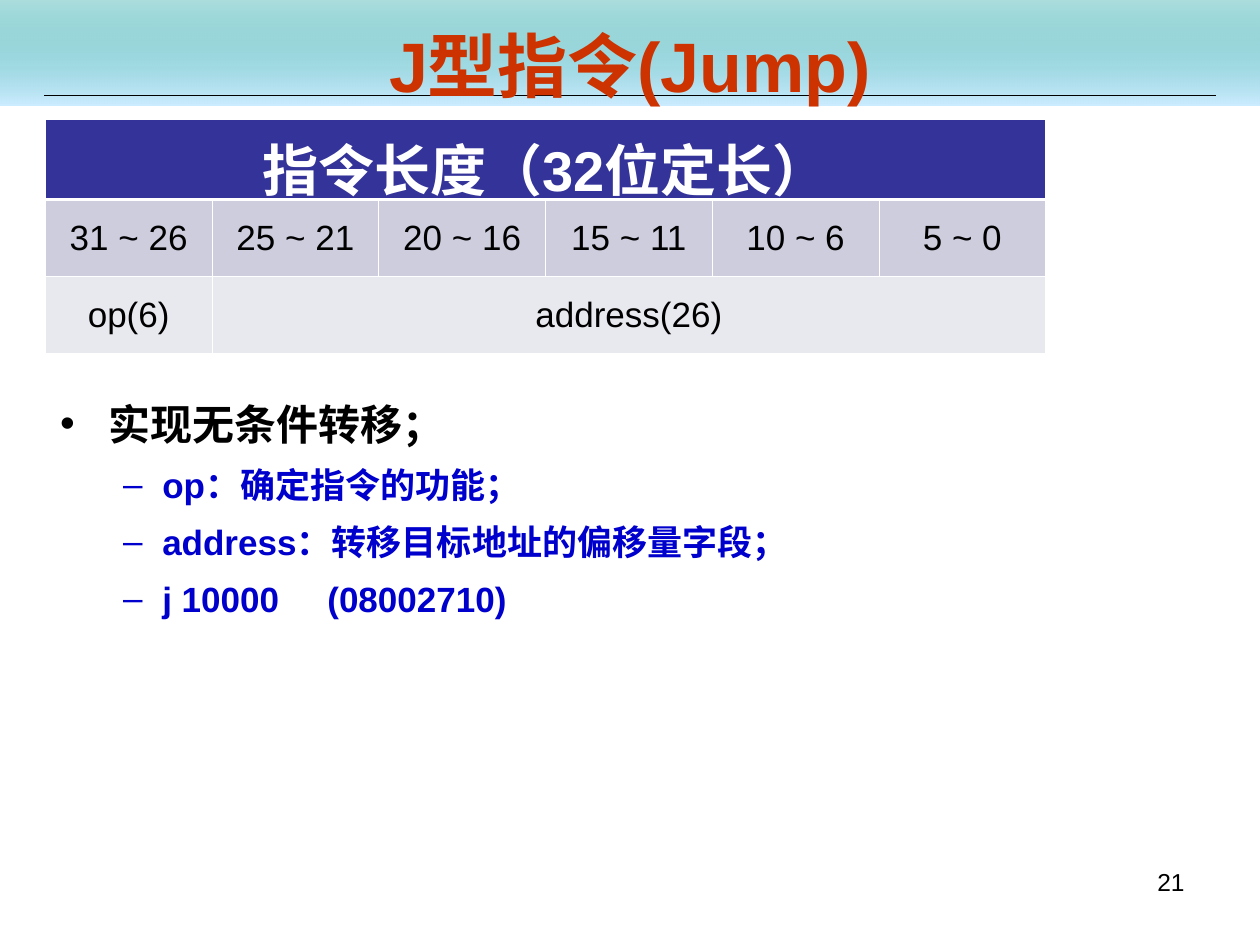
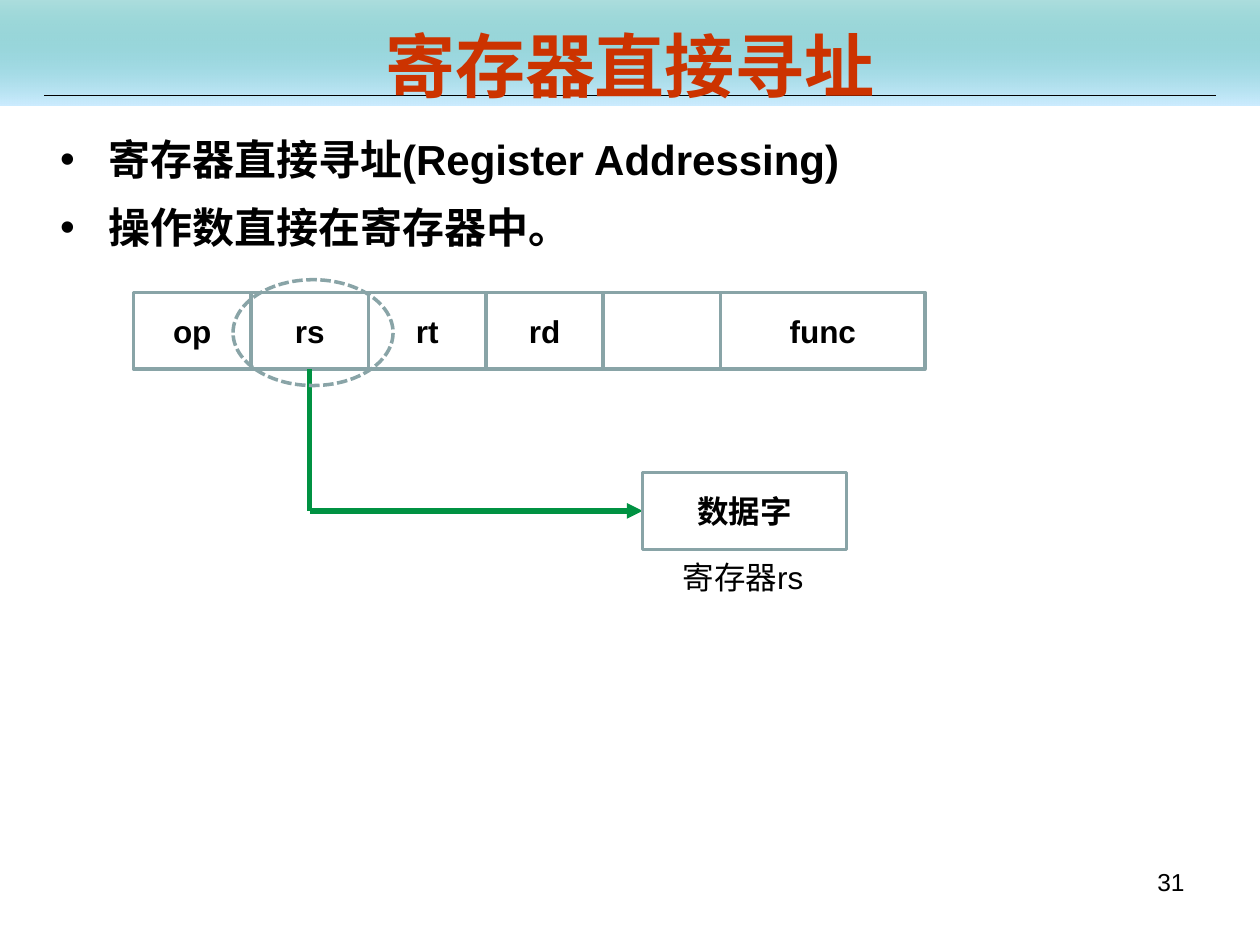
import dataclasses

import lxml.etree
import pptx
import pptx.dml.color
import pptx.enum.dml
import pptx.enum.lang
import pptx.enum.shapes
import pptx.enum.text
import pptx.oxml
import pptx.oxml.ns
import pptx.util

Inches = pptx.util.Inches
Pt = pptx.util.Pt
qn = pptx.oxml.ns.qn
Shape = pptx.enum.shapes.MSO_SHAPE
Align = pptx.enum.text.PP_ALIGN
Anchor = pptx.enum.text.MSO_ANCHOR


@dataclasses.dataclass(frozen=True)
class Theme:
    """Colours, type sizes and line widths shared by the deck."""
    font: str = "Arial"
    black: str = "000000"
    white: str = "FFFFFF"
    title: str = "CC3300"
    detail: str = "0000CC"
    band_top: str = "009999"
    band_bottom: str = "CCECFF"
    header: str = "333399"
    row_dark: str = "CDCDDE"
    row_light: str = "E8E8EF"
    outline: str = "89A4A7"
    arrow: str = "009242"
    title_size: int = 40
    header_size: int = 32
    point_size: int = 24
    detail_size: int = 20
    label_size: int = 18
    number_size: int = 14
    hairline: float = 0.75
    outline_width: float = 2
    arrow_width: float = 3


@dataclasses.dataclass(frozen=True)
class Box:
    """A rectangle in inches."""
    left: float
    top: float
    width: float
    height: float

    def inner(self, left, top, width, height):
        """Return a box placed relative to this one."""
        return Box(self.left + left, self.top + top, width, height)

    def lengths(self):
        """Return left, top, width and height as lengths."""
        return [Inches(value) for value in dataclasses.astuple(self)]


THEME = Theme()
PAGE = Box(0, 0, 10, 7.5)


def rgb(value):
    """Turn a hex string into a colour."""
    return pptx.dml.color.RGBColor.from_string(value)


def add_xml(parent, tag, **attributes):
    """Append a DrawingML element with the given attributes."""
    return lxml.etree.SubElement(parent, qn(tag), attributes)


def style_para(para, size, colour, bold=False, align=Align.CENTER):
    """Format a paragraph and its runs."""
    para.alignment = align
    for span in para.runs:
        span.font.name = THEME.font
        span.font.size = Pt(size)
        span.font.bold = bold
        span.font.color.rgb = rgb(colour)
        span.font.language_id = pptx.enum.lang.MSO_LANGUAGE_ID.SIMPLIFIED_CHINESE


def add_text(page, box, text, size, colour, bold=False, align=Align.CENTER,
             anchor=Anchor.TOP, wrap=True):
    """Add a one-paragraph text box."""
    frame = page.shapes.add_textbox(*box.lengths()).text_frame
    frame.word_wrap = wrap
    frame.vertical_anchor = anchor
    frame.text = text
    style_para(frame.paragraphs[0], size, colour, bold, align)


def add_line(page, start, end, colour, width, arrow=False):
    """Draw a straight line, with an arrowhead at its end on request."""
    line = page.shapes.add_connector(
        pptx.enum.shapes.MSO_CONNECTOR.STRAIGHT,
        *[Inches(value) for value in (*start, *end)])
    line.line.color.rgb = rgb(colour)
    line.line.width = Pt(width)
    if arrow:
        add_xml(line.line._get_or_add_ln(), "a:tailEnd", type="triangle")
    add_xml(line._element.spPr, "a:effectLst")


def add_outline(page, box, kind=Shape.RECTANGLE, text=""):
    """Add an unfilled shape with an optional bold label."""
    shape = page.shapes.add_shape(kind, *box.lengths())
    shape.shadow.inherit = False
    shape.fill.background()
    shape.line.color.rgb = rgb(THEME.outline)
    shape.line.width = Pt(THEME.outline_width)
    if text:
        shape.text_frame.text = text
        shape.text_frame.vertical_anchor = Anchor.MIDDLE
        style_para(shape.text_frame.paragraphs[0], THEME.label_size, THEME.black, True)
    return shape


def add_band(page, box):
    """Draw the gradient band and the rule across it."""
    band = page.shapes.add_shape(Shape.RECTANGLE, *box.lengths())
    band.shadow.inherit = False
    band.line.fill.background()
    band.fill.gradient()
    band.fill.gradient_angle = 270
    for stop, colour in zip(band.fill.gradient_stops, (THEME.band_top, THEME.band_bottom)):
        stop.color.rgb = rgb(colour)
    first = band._element.spPr.find(".//" + qn("a:srgbClr"))
    add_xml(first, "a:alpha", val="32000")
    rule = box.top + 0.76
    add_line(page, (box.left + 0.35, rule), (box.left + box.width - 0.35, rule),
             THEME.black, THEME.hairline)


def add_page(deck, title, number):
    """Add a blank page with its band, title and page number."""
    page = deck.slides.add_slide(deck.slide_layouts[6])
    add_band(page, PAGE.inner(0, 0, PAGE.width, 0.84))
    add_text(page, PAGE.inner(0.5, 0.21, 9, 0.61), title, THEME.title_size,
             THEME.title, True, anchor=Anchor.MIDDLE)
    add_text(page, PAGE.inner(7.17, 6.83, 2.33, 0.52), str(number),
             THEME.number_size, THEME.black, align=Align.RIGHT)
    return page


def add_bullet(para, mark, colour, margin, indent):
    """Give a paragraph a coloured bullet and a hanging indent."""
    props = para._p.get_or_add_pPr()
    props.set("marL", str(Inches(margin)))
    props.set("indent", str(Inches(-indent)))
    add_xml(add_xml(props, "a:buClr"), "a:srgbClr", val=colour)
    add_xml(props, "a:buFont", typeface=THEME.font)
    add_xml(props, "a:buChar", char=mark)
    return props


def add_points(page, box, points, details=(), offset=0.0, tab=None):
    """List points, then their details, starting at an offset from the box top."""
    frame = page.shapes.add_textbox(*box.lengths()).text_frame
    frame.word_wrap = True
    frame.margin_top = Inches(0.05 + offset)
    frame.text = "\n".join((*points, *details))
    for index, para in enumerate(frame.paragraphs):
        para.line_spacing = 1.15
        if index < len(points):
            para.space_before = Pt(6)
            style_para(para, THEME.point_size, THEME.black, True, Align.LEFT)
            add_bullet(para, "•", THEME.black, 0.38, 0.38)
        else:
            para.level = 1
            para.space_before = Pt(5)
            style_para(para, THEME.detail_size, THEME.detail, True, Align.LEFT)
            props = add_bullet(para, "–", THEME.detail, 0.81, 0.31)
            if tab:
                add_xml(add_xml(props, "a:tabLst"), "a:tab", pos=str(Inches(tab)), algn="l")


def style_cell(cell, fill, size, colour, bold=False, bottom=0.45):
    """Format a table cell with white borders."""
    cell.vertical_anchor = Anchor.MIDDLE
    style_para(cell.text_frame.paragraphs[0], size, colour, bold)
    props = cell._tc.get_or_add_tcPr()
    for side, width in (("L", 0.45), ("R", 0.45), ("T", 0.45), ("B", bottom)):
        border = add_xml(props, "a:ln" + side, w=str(Pt(width)))
        add_xml(add_xml(border, "a:solidFill"), "a:srgbClr", val=THEME.white)
    cell.fill.solid()
    cell.fill.fore_color.rgb = rgb(fill)


def add_format_table(page, box, heading, bits, fields):
    """Show the bit ranges of an instruction and the fields that span them."""
    table = page.shapes.add_table(3, len(bits), *box.lengths()).table
    for row, height in zip(table.rows, (0.63, 0.61, 0.61)):
        row.height = Inches(height)
    table.cell(0, 0).merge(table.cell(0, len(bits) - 1))
    table.cell(2, 1).merge(table.cell(2, len(bits) - 1))
    table.cell(0, 0).text = heading
    for column, text in enumerate(bits):
        table.cell(1, column).text = text
    for column, text in enumerate(fields):
        table.cell(2, column).text = text
    for column in range(len(bits)):
        style_cell(table.cell(0, column), THEME.header, THEME.header_size,
                   THEME.white, True, 1.5)
        style_cell(table.cell(1, column), THEME.row_dark, THEME.detail_size, THEME.black)
        style_cell(table.cell(2, column), THEME.row_light, THEME.detail_size, THEME.black)


def add_addressing(page, box, fields, data, caption):
    """Draw the instruction fields and the path from rs to its data word."""
    narrow, wide, height = 0.932, 1.62, 0.61
    for index, text in enumerate(fields):
        width = wide if index == len(fields) - 1 else narrow
        add_outline(page, box.inner(index * narrow, 0, width, height), text=text)
    target = box.inner(4.04, 1.43, wide, height)
    bend = (box.left + 1.5 * narrow, target.top + height / 2)
    add_line(page, (bend[0], box.top + height), bend, THEME.arrow, THEME.arrow_width)
    add_line(page, bend, (target.left, bend[1]), THEME.arrow, THEME.arrow_width, True)
    add_outline(page, target, text=data)
    add_text(page, target.inner(0.22, 0.63, 1.22, 0.4), caption, THEME.label_size,
             THEME.black, align=Align.LEFT, wrap=False)
    ring = add_outline(page, box.inner(0.79, -0.1, 1.27, 0.84), Shape.OVAL)
    ring.line.dash_style = pptx.enum.dml.MSO_LINE.SQUARE_DOT


def build_jump_page(deck):
    """Build the page on the jump instruction format."""
    page = add_page(deck, "J型指令(Jump)", 21)
    add_points(page, PAGE.inner(0.38, 0.95, 9, 5.71), ["实现无条件转移；"],
               ["op：确定指令的功能；", "address：转移目标地址的偏移量字段；",
                "j 10000\t(08002710)"], offset=2.1, tab=2.12)
    add_format_table(page, PAGE.inner(0.36, 0.95, 7.94, 1.85), "指令长度（32位定长）",
                     ["31 ~ 26", "25 ~ 21", "20 ~ 16", "15 ~ 11", "10 ~ 6", "5 ~ 0"],
                     ["op(6)", "address(26)"])


def build_register_page(deck):
    """Build the page on register addressing."""
    page = add_page(deck, "寄存器直接寻址", 31)
    add_points(page, PAGE.inner(0.38, 0.95, 9, 1.17),
               ["寄存器直接寻址(Register Addressing)", "操作数直接在寄存器中。"])
    add_addressing(page, PAGE.inner(1.06, 2.32, 6.28, 2.46),
                   ["op", "rs", "rt", "rd", "", "func"], "数据字", "寄存器rs")


def main():
    """Build and save the deck."""
    deck = pptx.Presentation()
    deck.slide_width, deck.slide_height = Inches(PAGE.width), Inches(PAGE.height)
    build_jump_page(deck)
    build_register_page(deck)
    deck.save("out.pptx")


main()
